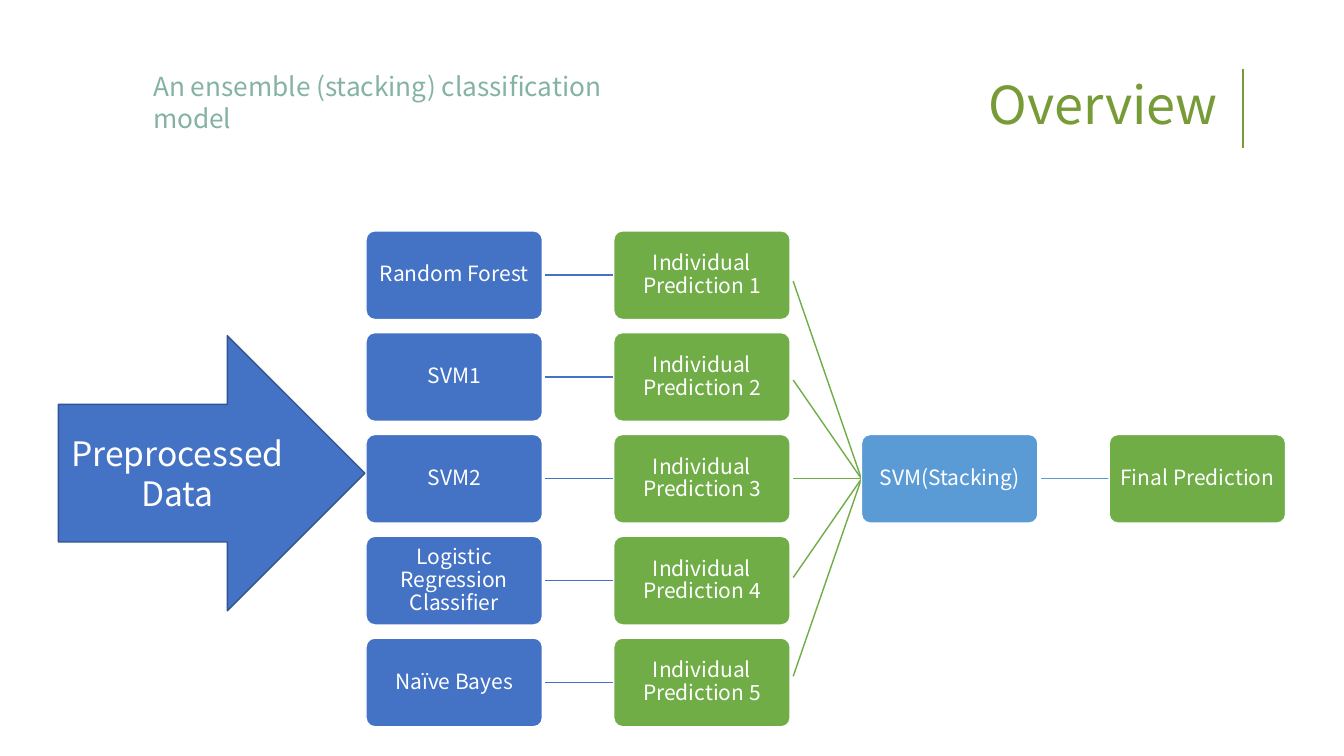
from dataclasses import dataclass

from lxml.etree import SubElement
from pptx import Presentation
from pptx.dml.color import RGBColor
from pptx.enum.shapes import MSO_CONNECTOR as Connector, MSO_SHAPE as Preset
from pptx.enum.text import MSO_ANCHOR as Anchor, PP_ALIGN as Align
from pptx.oxml.ns import qn
from pptx.util import Inches, Pt

COLORS = {
    "blue": "4472C4",
    "navy": "325491",
    "sky": "5B9BD5",
    "green": "70AD47",
    "olive": "779B37",
    "sage": "84B3A3",
    "white": "FFFFFF",
}
FONT = "Noto Sans CJK SC"
GRID_LEFT, GRID_TOP = 3.63, 2.29
COLUMN_STEP, ROW_STEP = 2.457, 1.01
NODE_WIDTH, NODE_HEIGHT = 1.75, 0.88
LINK_GAP, FAN_STEP = 0.03, 0.98
MIDDLE_ROW = 2


@dataclass(frozen=True)
class Node:
    label: str
    column: int
    row: int
    color: str

    @property
    def left(self) -> float:
        return GRID_LEFT + self.column * COLUMN_STEP

    @property
    def top(self) -> float:
        return GRID_TOP + self.row * ROW_STEP

    @property
    def center(self) -> float:
        return self.top + NODE_HEIGHT / 2


@dataclass(frozen=True)
class Caption:
    text: str
    left: float
    top: float
    width: float
    height: float
    size: float
    color: str
    align: Align
    line_spacing: float
    right_inset: float


def rgb(name: str) -> RGBColor:
    return RGBColor.from_string(COLORS[name])


def write(frame, text: str, size: float, color: str, align: Align, line_spacing: float) -> None:
    frame.word_wrap = True
    paragraph = frame.paragraphs[0]
    paragraph.text = text
    paragraph.alignment = align
    paragraph.line_spacing = line_spacing
    paragraph.font.name = FONT
    paragraph.font.size = Pt(size)
    paragraph.font.color.rgb = rgb(color)


def draw_caption(slide, caption: Caption) -> None:
    area = (caption.left, caption.top, caption.width, caption.height)
    frame = slide.shapes.add_textbox(*map(Inches, area)).text_frame
    frame.margin_right = Inches(caption.right_inset)
    write(frame, caption.text, caption.size, caption.color, caption.align, caption.line_spacing)


def draw_line(slide, start: tuple[float, float], end: tuple[float, float],
              color: str, width: float = 1) -> None:
    line = slide.shapes.add_connector(Connector.STRAIGHT, *map(Inches, start + end))
    line.line.color.rgb = rgb(color)
    line.line.width = Pt(width)
    SubElement(line._element.spPr, qn("a:effectLst"))


def draw_shape(slide, preset: Preset, area: tuple[float, float, float, float],
               fill: str, outline: str):
    shape = slide.shapes.add_shape(preset, *map(Inches, area))
    shape.shadow.inherit = False
    shape.fill.solid()
    shape.fill.fore_color.rgb = rgb(fill)
    shape.line.color.rgb = rgb(outline)
    shape.line.width = Pt(1)
    shape.text_frame.vertical_anchor = Anchor.MIDDLE
    return shape


def draw_node(slide, node: Node) -> None:
    area = (node.left, node.top, NODE_WIDTH, NODE_HEIGHT)
    box = draw_shape(slide, Preset.ROUNDED_RECTANGLE, area, node.color, "white")
    box.adjustments[0] = 0.1
    frame = box.text_frame
    frame.margin_left = frame.margin_right = Inches(0.04)
    frame.margin_top = frame.margin_bottom = Inches(0.04)
    write(frame, node.label, 15, "white", Align.CENTER, 0.9)


def draw_link(slide, source: Node, target: Node, color: str) -> None:
    start = (source.left + NODE_WIDTH + LINK_GAP,
             target.center + (source.row - target.row) * FAN_STEP)
    draw_line(slide, start, (target.left, target.center), color)


def main() -> None:
    deck = Presentation()
    deck.slide_width, deck.slide_height = Inches(13.33), Inches(7.5)
    slide = deck.slides.add_slide(deck.slide_layouts[6])

    draw_caption(slide, Caption("Overview", 5.76, 0.74, 6.53, 0.67,
                                37.3, "olive", Align.RIGHT, 0.9, 0.21))
    draw_line(slide, (12.33, 0.68), (12.33, 1.47), "olive", 1.5)
    draw_caption(slide, Caption("An ensemble (stacking) classification model",
                                1.42, 0.65, 5.02, 0.73, 18.7, "sage", Align.LEFT, 1.0, 0.1))

    stacking = Node("SVM(Stacking)", 2, MIDDLE_ROW, "sky")
    final = Node("Final Prediction", 3, MIDDLE_ROW, "green")
    draw_link(slide, stacking, final, "sky")

    classifiers = ("Random Forest", "SVM1", "SVM2",
                   "Logistic Regression Classifier", "Naïve Bayes")
    for row, name in enumerate(classifiers):
        classifier = Node(name, 0, row, "blue")
        prediction = Node(f"Individual Prediction {row + 1}", 1, row, "green")
        draw_link(slide, classifier, prediction, "blue")
        draw_link(slide, prediction, stacking, "green")
        draw_node(slide, classifier)
        draw_node(slide, prediction)
    draw_node(slide, stacking)
    draw_node(slide, final)

    preprocessed = draw_shape(slide, Preset.RIGHT_ARROW, (0.58, 3.33, 3.04, 2.73), "blue", "navy")
    write(preprocessed.text_frame, "Preprocessed Data", 24, "white", Align.CENTER, 1.0)

    deck.save("out.pptx")


if __name__ == "__main__":
    main()
